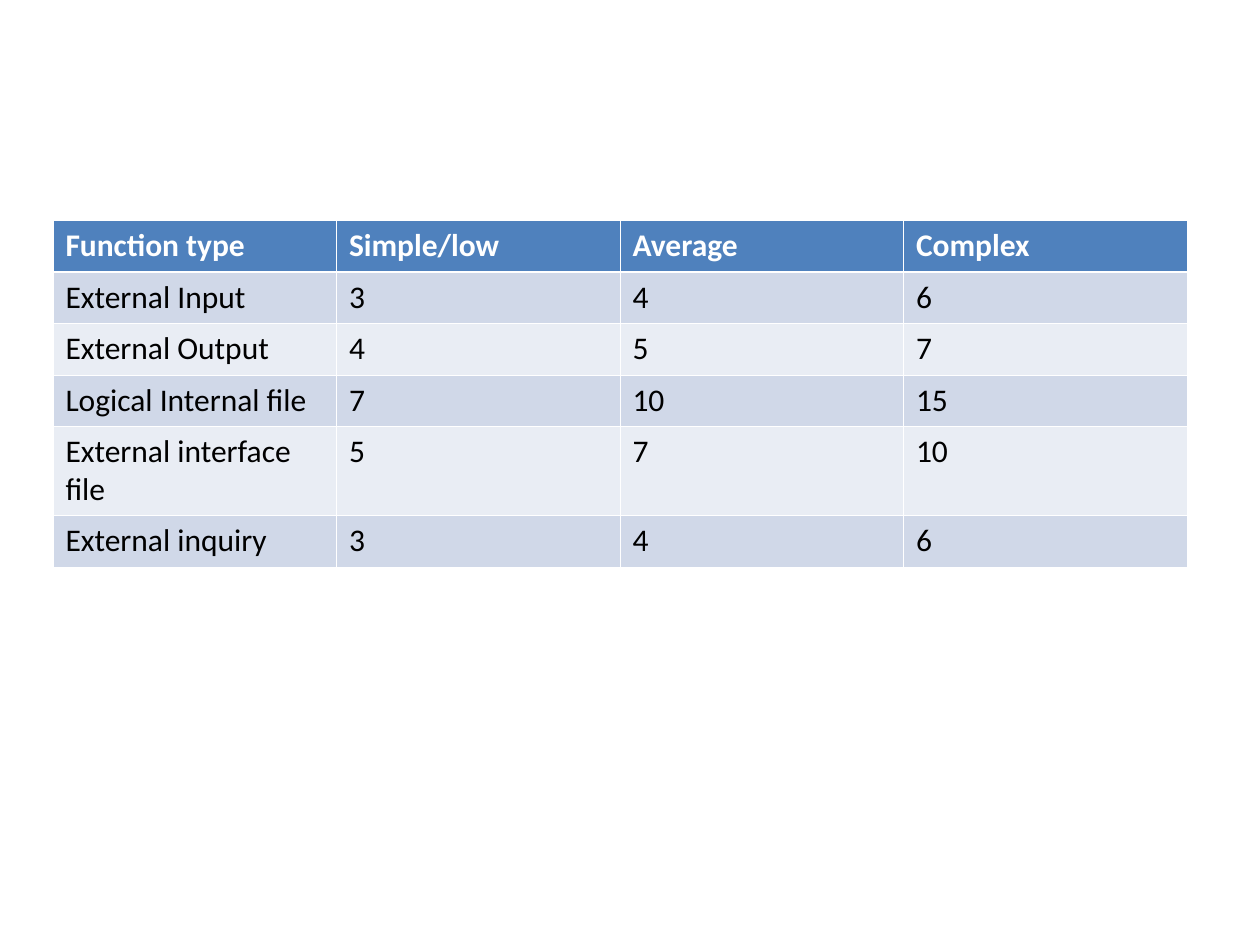
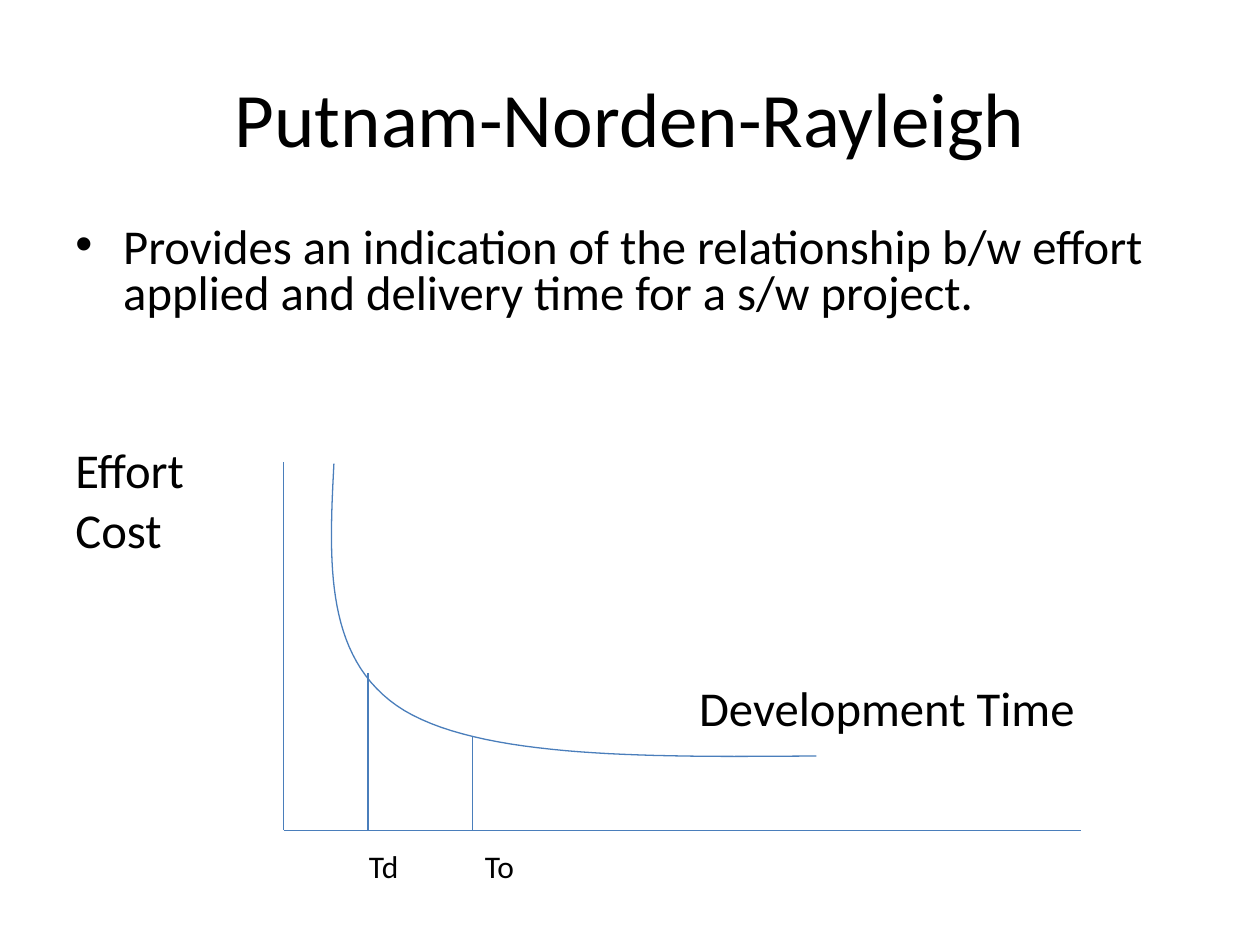
from dataclasses import dataclass

from lxml import etree
from pptx import Presentation
from pptx.dml.color import RGBColor
from pptx.enum import shapes, text
from pptx.oxml import ns
from pptx.util import Inches, Pt


@dataclass(frozen=True)
class Theme:
    font: str = "Calibri"
    ink: str = "000000"
    white: str = "FFFFFF"
    header: str = "4F81BD"
    bands: tuple = ("D0D8E8", "E9EDF4")
    line: str = "4A7EBB"
    title_size: float = 44
    body_size: float = 27.8
    small_size: float = 18
    line_width: float = 0.75
    cell_border: float = 0.45
    header_border: float = 1.47


THEME = Theme()
TITLE_ONLY, BLANK = 5, 6

WEIGHTS = [
    ("Function type", "Simple/low", "Average", "Complex"),
    ("External Input", "3", "4", "6"),
    ("External Output", "4", "5", "7"),
    ("Logical Internal file", "7", "10", "15"),
    ("External interface file", "5", "7", "10"),
    ("External inquiry", "3", "4", "6"),
]
ROW_HEIGHTS = (0.41, 0.4, 0.41, 0.4, 0.7, 0.41)

# Text, left margin, first-line indent (inches), space before (points)
BODY = [
    ("Provides an indication of the relationship b/w effort applied "
     "and delivery time for a s/w project.", 0.38, -0.38, 0),
    ("Effort", 0, 0, 75),
    ("Cost", 0, 0, 7.5),
    ("Development Time", 4.95, 0, 75),
]

AXIS_LEFT, AXIS_TOP, AXIS_BASE, AXIS_RIGHT = 2.25, 3.67, 6.59, 8.58
CURVE = [
    ((2.65, 3.68), (2.61, 4.47), (2.57, 5.25), (3.21, 5.64)),
    ((3.21, 5.64), (3.85, 6.02), (5.17, 6.01), (6.48, 6)),
]
# Label, line x, line top, label left
TIME_MARKS = [("Td", 2.92, 5.34, 2.83), ("To", 3.75, 5.84, 3.75)]


def apply_format(target, values):
    for name, value in values.items():
        setattr(target, name, value)


def style_font(font, size, color=THEME.ink, bold=False):
    apply_format(font, {"name": THEME.font, "size": Pt(size), "bold": bold})
    font.color.rgb = RGBColor.from_string(color)


def style_line(line):
    line.color.rgb = RGBColor.from_string(THEME.line)
    line.width = Pt(THEME.line_width)


def place(shape, left, top, width, height):
    apply_format(shape, {"left": Inches(left), "top": Inches(top),
                         "width": Inches(width), "height": Inches(height)})


def set_cell_borders(cell, widths):
    """Draw white borders; widths are points for left, right, top, bottom."""
    properties = cell._tc.get_or_add_tcPr()
    for position, (side, width) in enumerate(zip("LRTB", widths)):
        border = etree.Element(ns.qn(f"a:ln{side}"), w=str(int(Pt(width))))
        fill = etree.SubElement(border, ns.qn("a:solidFill"))
        etree.SubElement(fill, ns.qn("a:srgbClr"), val=THEME.white)
        properties.insert(position, border)


def add_weight_table(slide):
    frame = slide.shapes.add_table(
        len(WEIGHTS), len(WEIGHTS[0]), Inches(0.42), Inches(1.75),
        Inches(9), Inches(sum(ROW_HEIGHTS)))
    table = frame.table
    for row_index, (values, height) in enumerate(zip(WEIGHTS, ROW_HEIGHTS)):
        table.rows[row_index].height = Inches(height)
        is_header = row_index == 0
        fill = THEME.header if is_header else THEME.bands[(row_index - 1) % 2]
        top = THEME.header_border if row_index == 1 else THEME.cell_border
        bottom = THEME.header_border if is_header else THEME.cell_border
        for column_index, value in enumerate(values):
            cell = table.cell(row_index, column_index)
            cell.text = value
            cell.fill.solid()
            cell.fill.fore_color.rgb = RGBColor.from_string(fill)
            style_font(cell.text_frame.paragraphs[0].font, THEME.small_size,
                       THEME.white if is_header else THEME.ink, is_header)
            set_cell_borders(cell, (THEME.cell_border, THEME.cell_border, top, bottom))


def add_title(slide, title):
    shape = slide.shapes.title
    place(shape, 0.5, 0.3, 9, 1.25)
    shape.text_frame.text = title
    shape.text_frame.vertical_anchor = text.MSO_ANCHOR.MIDDLE
    paragraph = shape.text_frame.paragraphs[0]
    paragraph.alignment = text.PP_ALIGN.CENTER
    style_font(paragraph.font, THEME.title_size)


def set_indent(paragraph, margin, indent):
    """Set the margins and give a hanging paragraph a bullet."""
    properties = paragraph._p.get_or_add_pPr()
    properties.set("marL", str(Inches(margin)))
    properties.set("indent", str(Inches(indent)))
    if indent < 0:
        etree.SubElement(properties, ns.qn("a:buFont"), typeface="Arial")
        etree.SubElement(properties, ns.qn("a:buChar"), char="•")


def add_body(slide):
    box = slide.shapes.add_textbox(Inches(0.5), Inches(1.75), Inches(9), Inches(5))
    frame = box.text_frame
    frame.word_wrap = True
    for index, (words, margin, indent, space) in enumerate(BODY):
        paragraph = frame.add_paragraph() if index else frame.paragraphs[0]
        paragraph.text = words
        set_indent(paragraph, margin, indent)
        apply_format(paragraph, {"line_spacing": 0.8, "space_before": Pt(space)})
        style_font(paragraph.font, THEME.body_size)


def add_line(slide, start, end):
    connector = slide.shapes.add_connector(
        shapes.MSO_CONNECTOR.STRAIGHT, *map(Inches, start + end))
    style_line(connector.line)
    etree.SubElement(connector._element.spPr, ns.qn("a:effectLst"))


def bezier_point(controls, t):
    weights = ((1 - t) ** 3, 3 * t * (1 - t) ** 2, 3 * t * t * (1 - t), t ** 3)
    return tuple(Inches(sum(w * c for w, c in zip(weights, axis)))
                 for axis in zip(*controls))


def add_effort_curve(slide, steps=30):
    points = [bezier_point(controls, step / steps)
              for controls in CURVE for step in range(1, steps + 1)]
    builder = slide.shapes.build_freeform(*bezier_point(CURVE[0], 0))
    builder.add_line_segments(points, close=False)
    curve = builder.convert_to_shape()
    curve.fill.background()
    curve.shadow.inherit = False
    style_line(curve.line)


def add_time_mark(slide, label, x, top, label_left):
    add_line(slide, (x, top), (x, AXIS_BASE))
    box = slide.shapes.add_textbox(
        Inches(label_left), Inches(6.67), Inches(0.44), Inches(0.4))
    box.text_frame.word_wrap = False
    box.text_frame.text = label
    style_font(box.text_frame.paragraphs[0].font, THEME.small_size)


def add_effort_graph(slide):
    origin = (AXIS_LEFT, AXIS_BASE)
    add_line(slide, (AXIS_LEFT, AXIS_TOP), origin)
    add_line(slide, origin, (AXIS_RIGHT, AXIS_BASE))
    add_effort_curve(slide)
    for mark in TIME_MARKS:
        add_time_mark(slide, *mark)


def main():
    presentation = Presentation()
    presentation.slide_width = Inches(10)
    presentation.slide_height = Inches(7.5)
    layouts = presentation.slide_layouts

    add_weight_table(presentation.slides.add_slide(layouts[BLANK]))

    model_slide = presentation.slides.add_slide(layouts[TITLE_ONLY])
    add_title(model_slide, "Putnam-Norden-Rayleigh")
    add_body(model_slide)
    add_effort_graph(model_slide)

    presentation.save("out.pptx")


if __name__ == "__main__":
    main()
